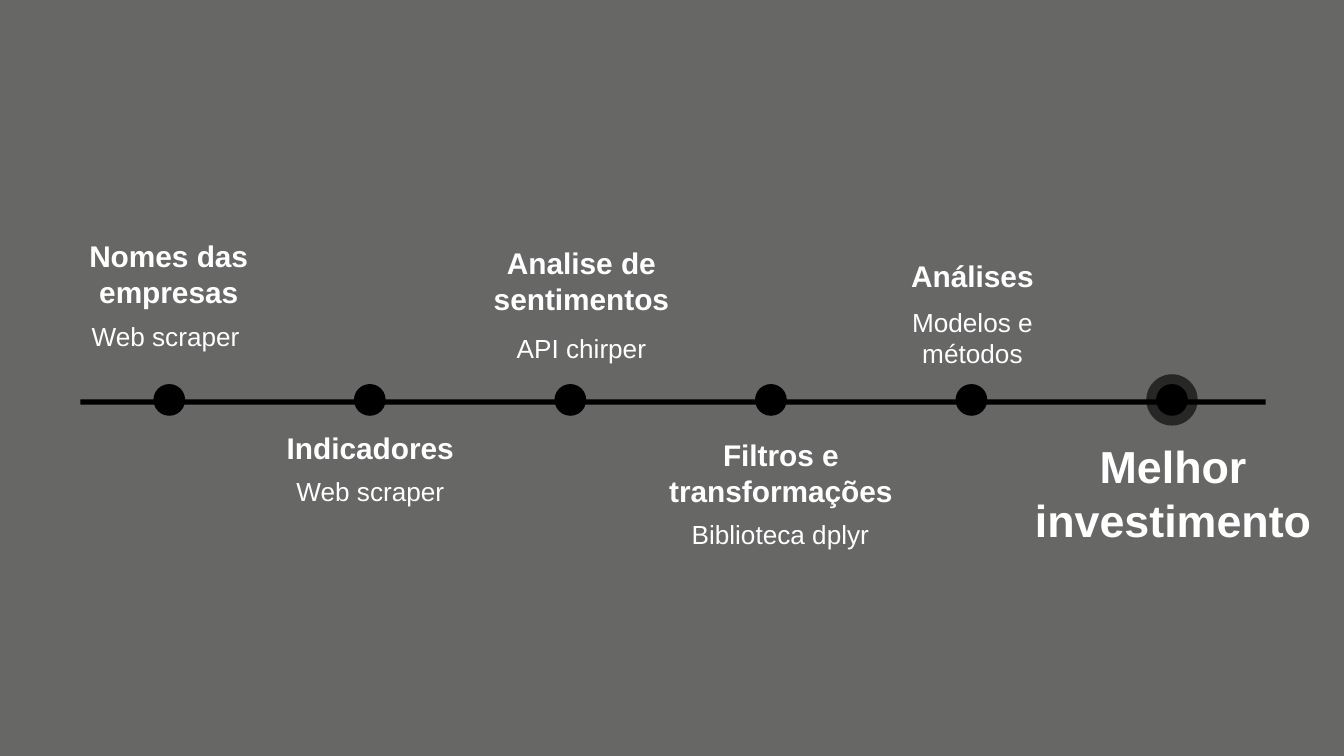
from lxml import etree
from pptx import Presentation
from pptx.dml.color import RGBColor
from pptx.enum.shapes import MSO_SHAPE
from pptx.enum.text import MSO_ANCHOR, PP_ALIGN
from pptx.oxml.ns import qn
from pptx.util import Cm, Pt

OVAL, RECTANGLE = MSO_SHAPE.OVAL, MSO_SHAPE.RECTANGLE
TOP, MIDDLE = MSO_ANCHOR.TOP, MSO_ANCHOR.MIDDLE
CENTER = PP_ALIGN.CENTER

GREY, BLACK, WHITE = "676766", "000000", "FFFFFF"
FIRST_X, STEP, DOT_Y = 3.2, 3.79, 7.56
DOT_SIZE, HALO_SIZE = 0.6, 0.97

# Each text: wording, centre x, top, width, height
STAGES = [
    (("Nomes das empresas", 3.19, 4.37, 3.63, 1.63),
     ("Web scraper", 3.13, 5.94, 3.63, 0.86)),
    (("Indicadores", 7.0, 8.0, 4.6, 0.94),
     ("Web scraper", 7.0, 8.86, 4.14, 0.86)),
    (("Analise de sentimentos", 10.99, 4.5, 5.1, 1.63),
     ("API chirper", 10.99, 6.15, 5.1, 0.86)),
    (("Filtros e transformações", 14.76, 8.13, 6.65, 1.63),
     ("Biblioteca dplyr", 14.75, 9.68, 5.82, 0.86)),
    (("Análises", 18.38, 4.75, 3.63, 0.94),
     ("Modelos e métodos", 18.38, 5.66, 3.63, 1.45)),
]
GOAL = ("Melhor investimento", 22.17, 8.15, 5.8, 2.31)


def color(value):
    return RGBColor.from_string(value)


def write(box, text, size=14, bold=False, ink=WHITE, font="Arial"):
    para = box.text_frame.paragraphs[0]
    para.alignment = CENTER
    span = para.add_run()
    span.text = text
    span.font.name = font
    span.font.size = Pt(size)
    span.font.bold = bold
    span.font.color.rgb = color(ink)


class Timeline:
    def __init__(self, page, ink=BLACK):
        self.page = page
        self.ink = ink

    def background(self, fill):
        self.page.background.fill.solid()
        self.page.background.fill.fore_color.rgb = color(fill)

    def shape(self, kind, left, top, width, height, opacity=100):
        shape = self.page.shapes.add_shape(
            kind, Cm(left), Cm(top), Cm(width), Cm(height))
        shape.shadow.inherit = False
        shape.line.fill.background()
        shape.fill.solid()
        shape.fill.fore_color.rgb = color(self.ink)
        if opacity < 100:
            tint = shape.fill._xPr.find(".//" + qn("a:srgbClr"))
            etree.SubElement(tint, qn("a:alpha"), val=str(opacity * 1000))

    def dot(self, center, size=DOT_SIZE, opacity=100):
        self.shape(OVAL, center - size / 2, DOT_Y - size / 2, size, size, opacity)

    def label(self, text, center, top, width, height, anchor=TOP, **style):
        box = self.page.shapes.add_textbox(
            Cm(center - width / 2), Cm(top), Cm(width), Cm(height))
        box.text_frame.word_wrap = True
        box.text_frame.vertical_anchor = anchor
        write(box, text, **style)


def main():
    deck = Presentation()
    deck.slide_width, deck.slide_height = Cm(25.4), Cm(14.29)
    timeline = Timeline(deck.slides.add_slide(deck.slide_layouts[6]))
    timeline.background(GREY)

    # Axis and stage dots
    timeline.shape(RECTANGLE, 1.52, 7.55, 22.4, 0.1)
    for index in range(len(STAGES)):
        timeline.dot(FIRST_X + index * STEP)

    # Goal with halo
    goal_x = FIRST_X + len(STAGES) * STEP
    timeline.dot(goal_x, HALO_SIZE, opacity=62)
    timeline.dot(goal_x)
    timeline.label(*GOAL, anchor=MIDDLE, size=24, bold=True)

    # Stage texts
    for title, detail in STAGES:
        timeline.label(*detail)
        timeline.label(*title, size=16, bold=True)

    deck.save("out.pptx")


if __name__ == "__main__":
    main()
